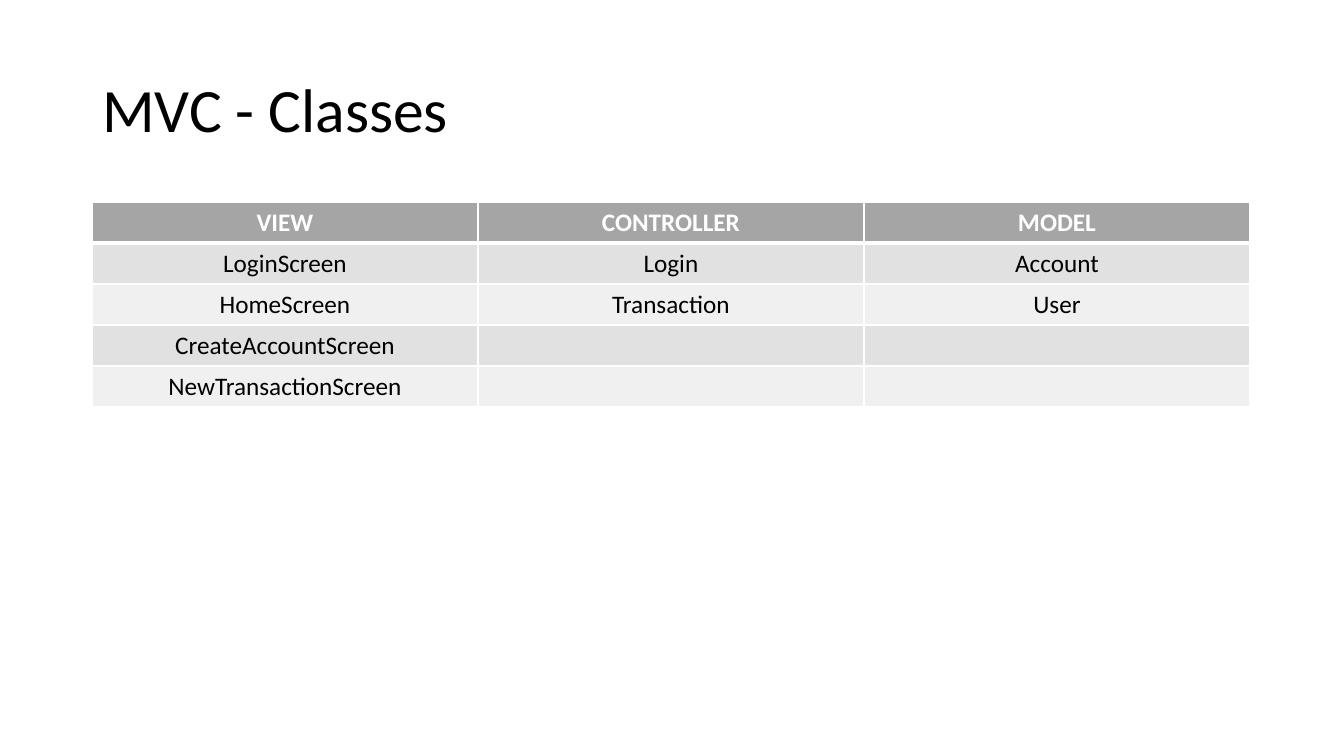
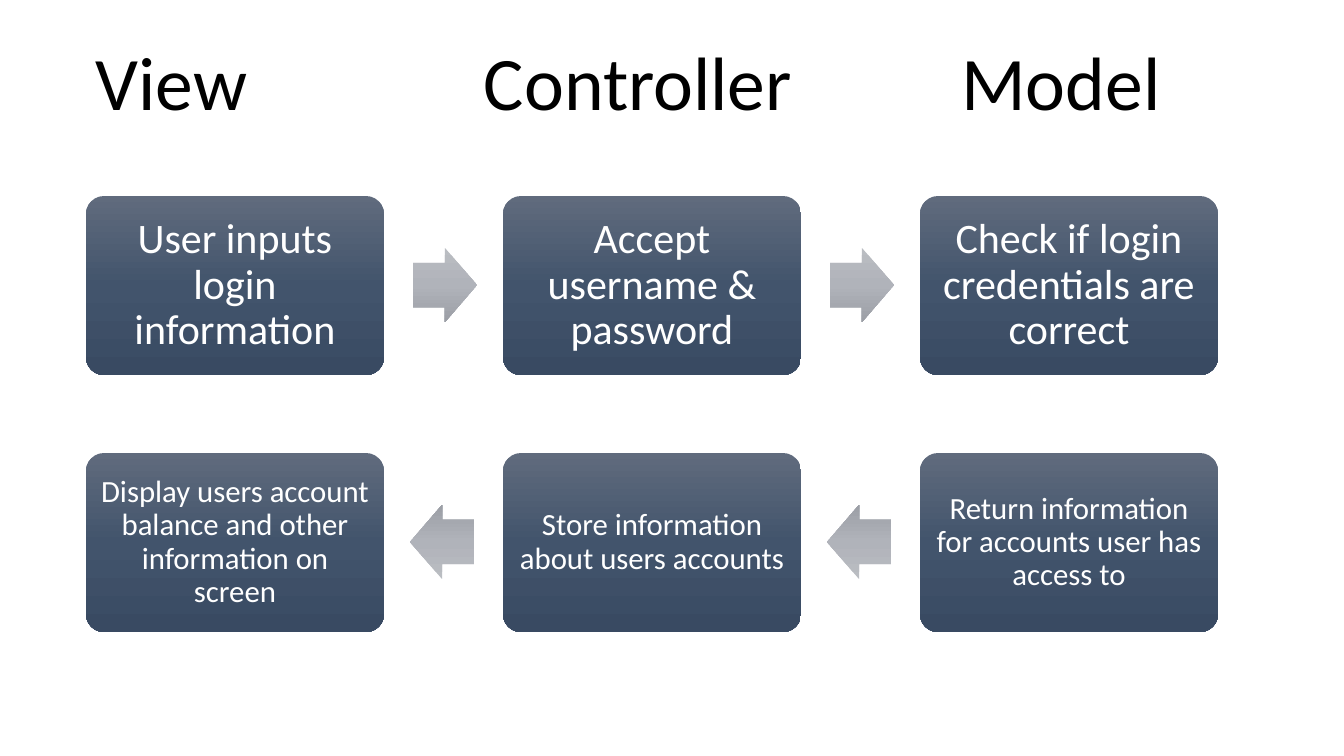
"""Build two slides on an MVC design: its class table and its login flow."""
from copy import deepcopy
from dataclasses import dataclass

from lxml import etree
from pptx import Presentation
from pptx.dml.color import RGBColor
from pptx.enum.shapes import MSO_SHAPE
from pptx.enum.text import MSO_ANCHOR, MSO_AUTO_SIZE, PP_ALIGN
from pptx.oxml.ns import qn
from pptx.util import Emu, Pt

BOX = MSO_SHAPE.ROUNDED_RECTANGLE
ARROW = MSO_SHAPE.RIGHT_ARROW
LEFT = PP_ALIGN.LEFT
CENTER = PP_ALIGN.CENTER
MIDDLE = MSO_ANCHOR.MIDDLE
GROW = MSO_AUTO_SIZE.SHAPE_TO_FIT_TEXT

FONT = "Calibri"
SCALE = 914400 / 100.8
COLORS = {
    "ink": "000000", "paper": "FFFFFF",
    "head": "A5A5A5", "odd": "E1E1E1", "even": "F0F0F0",
    "box_top": "606B7D", "box_mid": "42546C", "box_end": "394A62",
    "arrow_top": "BABDC2", "arrow_mid": "B0B3BA", "arrow_end": "9C9FA6",
}
ROWS = [
    ("VIEW", "CONTROLLER", "MODEL"),
    ("LoginScreen", "Login", "Account"),
    ("HomeScreen", "Transaction", "User"),
    ("CreateAccountScreen", "", ""),
    ("NewTransactionScreen", "", ""),
]
COL_W, ROW_H = 386, 41
BOX_X, BOX_W, BOX_H, PITCH = 86, 298, 179, 417
ARROW_W, ARROW_H, ARROW_Y = 64, 74, 52


@dataclass
class Head:
    text: str
    x: int
    w: int


@dataclass
class Flow:
    texts: tuple
    y: int
    size: int
    inset: int
    arrow: int
    turn: int


HEADS = [Head("View", 85, 173), Head("Controller", 472, 332), Head("Model", 950, 222)]
FLOWS = [
    Flow(("User inputs login information", "Accept username & password",
          "Check if login credentials are correct"), 196, 30, 12, 327, 0),
    Flow(("Display users account balance and other information on screen",
          "Store information about users accounts",
          "Return information for accounts user has access to"), 453, 22, 9, 324, 180),
]


def px(num: int) -> Emu:
    """Turn picture pixels into EMU."""
    return Emu(round(num * SCALE))


def place(*nums: int) -> list:
    """Turn a run of pixel lengths into EMU."""
    return [px(num) for num in nums]


def color(name: str) -> RGBColor:
    """Look up a named colour."""
    return RGBColor.from_string(COLORS[name])


def write(frame, text: str, size: int, ink: str, align=CENTER, bold=False, lead=None) -> None:
    """Set one paragraph of text and its format."""
    frame.text = text
    para = frame.paragraphs[0]
    para.alignment = align
    para.line_spacing = lead
    for run in para.runs:
        run.font.name = FONT
        run.font.size = Pt(size)
        run.font.bold = bold
        run.font.color.rgb = color(ink)


def edge(cell, side: str, width: int) -> None:
    """Draw one white border of a cell."""
    line = etree.SubElement(cell._tc.get_or_add_tcPr(), qn(f"a:ln{side}"), w=str(Pt(width)))
    fill = etree.SubElement(line, qn("a:solidFill"))
    etree.SubElement(fill, qn("a:srgbClr"), val=COLORS["paper"])


def draw_table(slide) -> None:
    """Draw the table of classes."""
    cols = len(ROWS[0])
    area = place(92, 202, COL_W * cols, ROW_H * len(ROWS))
    table = slide.shapes.add_table(len(ROWS), cols, *area).table
    for col in table.columns:
        col.width = px(COL_W)
    for i, texts in enumerate(ROWS):
        table.rows[i].height = px(ROW_H)
        head = i == 0
        tone = "head" if head else "odd" if i % 2 else "even"
        for j, text in enumerate(texts):
            cell = table.cell(i, j)
            for side in "LRTB":
                thick = (i, side) in ((0, "B"), (1, "T"))
                edge(cell, side, 3 if thick else 1)
            cell.fill.solid()
            cell.fill.fore_color.rgb = color(tone)
            write(cell.text_frame, text, 18, "paper" if head else "ink", bold=head)


def add_shape(slide, kind, area: list, tone: str):
    """Add a flat shape with a three-step vertical gradient."""
    shape = slide.shapes.add_shape(kind, *area)
    shape.shadow.inherit = False
    shape.line.fill.background()
    shape.fill.gradient()
    shape.fill.gradient_angle = 270
    stops = shape.element.spPr.find(".//" + qn("a:gsLst"))
    stops.append(deepcopy(stops[0]))
    for i, (stop, part) in enumerate(zip(shape.fill.gradient_stops, ("top", "mid", "end"))):
        stop.position = i / 2
        stop.color.rgb = color(f"{tone}_{part}")
    return shape


def draw_flow(slide, flow: Flow) -> None:
    """Draw one row of boxes with arrows between them."""
    for i, text in enumerate(flow.texts):
        x = BOX_X + i * PITCH
        box = add_shape(slide, BOX, place(x, flow.y, BOX_W, BOX_H), "box")
        box.adjustments[0] = 0.1
        frame = box.text_frame
        frame.word_wrap = True
        frame.vertical_anchor = MIDDLE
        frame.margin_left = frame.margin_right = px(flow.inset)
        frame.margin_top = frame.margin_bottom = px(flow.inset)
        write(frame, text, flow.size, "paper", lead=0.9)
        if i < len(flow.texts) - 1:
            area = place(x + flow.arrow, flow.y + ARROW_Y, ARROW_W, ARROW_H)
            arrow = add_shape(slide, ARROW, area, "arrow")
            arrow.adjustments[0] = 0.6
            arrow.adjustments[1] = 0.5
            arrow.rotation = flow.turn


def draw_head(slide, head: Head) -> None:
    """Draw the heading of one column."""
    frame = slide.shapes.add_textbox(*place(head.x, 30, head.w, 102)).text_frame
    frame.word_wrap = False
    frame.auto_size = GROW
    write(frame, head.text, 54, "ink")


def draw_title(slide, text: str) -> None:
    """Move and fill the title placeholder."""
    title = slide.shapes.title
    title.left, title.top, title.width, title.height = place(92, 40, 1159, 146)
    title.text_frame.vertical_anchor = MIDDLE
    write(title.text_frame, text, 44, "ink", align=LEFT, lead=0.9)


def main() -> None:
    """Build and save the deck."""
    deck = Presentation()
    deck.slide_width, deck.slide_height = place(1344, 756)
    classes = deck.slides.add_slide(deck.slide_layouts[5])
    draw_title(classes, "MVC - Classes")
    draw_table(classes)
    login = deck.slides.add_slide(deck.slide_layouts[6])
    for head in HEADS:
        draw_head(login, head)
    for flow in FLOWS:
        draw_flow(login, flow)
    deck.save("out.pptx")


main()
